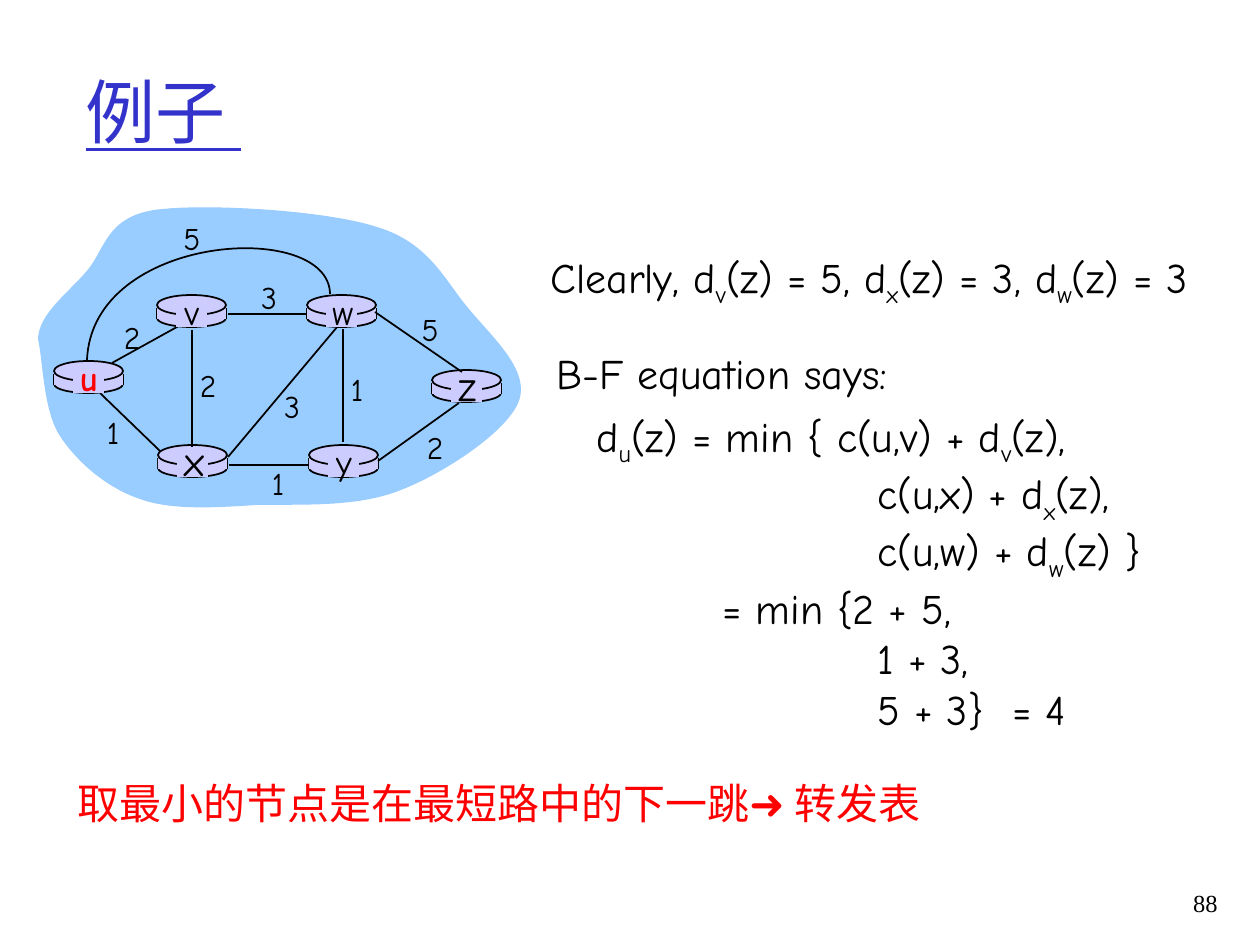
from lxml import etree
from pptx import Presentation
from pptx.dml.color import RGBColor
from pptx.enum.shapes import MSO_CONNECTOR, MSO_SHAPE
from pptx.enum.text import MSO_ANCHOR, PP_ALIGN
from pptx.oxml.ns import qn
from pptx.util import Emu, Pt

OVAL, RECT = MSO_SHAPE.OVAL, MSO_SHAPE.RECTANGLE
LINE = MSO_CONNECTOR.STRAIGHT
LEFT, MID, RIGHT = PP_ALIGN.LEFT, PP_ALIGN.CENTER, PP_ALIGN.RIGHT
CENTRE = MSO_ANCHOR.MIDDLE
COMIC, TIMES, CJK = "Comic Neue", "Times New Roman", "Noto Sans CJK JP"
BLACK, RED, BLUE, SKY, LILAC = "000000", "FF0000", "3333CC", "99CCFF", "CCCCFF"

NODES = [
    ("u", 54, 361, 20), ("x", 158, 445, 24), ("v", 157, 295, 20),
    ("w", 307, 295, 20), ("y", 309, 445, 20), ("z", 432, 370, 24),
]
LINKS = [
    (343, 329, 343, 442), (192, 330, 192, 447), (228, 457, 338, 326),
    (378, 461, 459, 403), (309, 465, 229, 465), (160, 451, 100, 393),
    (307, 314, 228, 314), (462, 372, 375, 312),
]
COSTS = [
    ("2", 132, 312), ("2", 208, 360), ("1", 113, 407), ("3", 292, 381),
    ("1", 278, 458), ("1", 357, 364), ("2", 435, 422), ("5", 430, 304),
    ("3", 269, 272), ("5", 192, 213),
]
CLOUD = [
    (38, 339),
    (39, 314), (67, 294), (86, 272), (105, 251), (105, 218), (154, 210),
    (203, 203), (325, 210), (377, 227), (430, 243), (445, 281), (469, 309),
    (493, 338), (530, 370), (519, 401), (508, 431), (445, 473), (401, 490),
    (357, 508), (299, 504), (256, 505), (212, 508), (170, 510), (140, 499),
    (107, 488), (77, 462), (60, 436), (43, 410), (43, 359), (38, 339),
]
ARC = [(330, 294), (329, 219), (92, 233), (87, 360)]
STOPS = (126, 281, 416)
STEPS = [
    "d_u(z) = min { c(u,v) + d_v(z),",
    "\t\tc(u,x) + d_x(z),",
    "\t\tc(u,w) + d_w(z) }",
    "\t= min {2 + 5,",
    "\t\t1 + 3,",
    "\t\t5 + 3}\t= 4",
]


def px(num):
    return Emu(round(num * 914400 / 126))


def tint(code):
    return RGBColor.from_string(code)


def style(run, size, hue=BLACK, face=COMIC):
    run.font.size = Pt(size)
    run.font.name = face
    run.font.color.rgb = tint(hue)
    far = etree.SubElement(run._r.get_or_add_rPr(), qn("a:ea"))
    far.set("typeface", CJK)


def paint(shape, fill=None, line=None):
    shape.shadow.inherit = False
    if fill:
        shape.fill.solid()
        shape.fill.fore_color.rgb = tint(fill)
    else:
        shape.fill.background()
    if line:
        shape.line.color.rgb = tint(line)
        shape.line.width = Pt(1)
    else:
        shape.line.fill.background()


def block(slide, kind, x, y, w, h, line=None):
    paint(slide.shapes.add_shape(kind, px(x), px(y), px(w), px(h)), LILAC, line)


def link(slide, *ends):
    wire = slide.shapes.add_connector(LINE, *map(px, ends))
    wire.line.color.rgb = tint(BLACK)
    wire.line.width = Pt(1)
    etree.SubElement(wire._element.spPr, qn("a:effectLst"))


def curve(slide, spots, fill=None, line=None):
    first, *rest = [(px(x), px(y)) for x, y in spots]
    pen = slide.shapes.build_freeform(*first)
    pen.add_line_segments(rest, close=bool(fill))
    shape = pen.convert_to_shape()
    legs = list(shape._element.iter(qn("a:lnTo")))
    for i in range(0, len(legs), 3):
        bend = etree.Element(qn("a:cubicBezTo"))
        legs[i].addprevious(bend)
        for leg in legs[i:i + 3]:
            bend.append(leg[0])
            leg.getparent().remove(leg)
    paint(shape, fill, line)


def text(slide, words, x, y, w, h, size, hue=BLACK, face=COMIC, align=LEFT, wrap=True):
    frame = slide.shapes.add_textbox(px(x), px(y), px(w), px(h)).text_frame
    frame.word_wrap = wrap
    para = frame.paragraphs[0]
    para.text = words
    para.alignment = align
    for run in para.runs:
        style(run, size, hue, face)
    return frame


def maths(para, words):
    head, *rest = words.split("_")
    bits = [(head, False)]
    for part in rest:
        bits += [(part[0], True), (part[1:], False)]
    for word, low in bits:
        run = para.add_run()
        run.text = word
        style(run, 24)
        if low:
            run._r.get_or_add_rPr().set("baseline", "-25000")


def sums(slide, rows, x, y, w, h):
    frame = text(slide, "", x, y, w, h, 24)
    for i, words in enumerate(rows):
        para = frame.add_paragraph() if i else frame.paragraphs[0]
        if "\t" in words:
            tabs = etree.SubElement(para._p.get_or_add_pPr(), qn("a:tabLst"))
            for stop in STOPS:
                etree.SubElement(tabs, qn("a:tab"), pos=str(px(stop)), algn="l")
        maths(para, words)


def router(slide, x, y):
    block(slide, OVAL, x, y + 14, 69, 18, BLACK)
    for side in (x, x + 69):
        link(slide, side, y + 13, side, y + 24)
    block(slide, RECT, x, y + 13, 69, 11)
    block(slide, OVAL, x, y, 69, 20, BLACK)


def label(slide, name, x, y, size):
    block(slide, RECT, x + 19, y + 3, 31, 29)
    left, rise = (13, 11) if size == 20 else (14, 17)
    first = name == "u"
    frame = text(slide, name, x + left, y - rise, 44, 56, size,
                 RED if first else BLACK, align=MID, wrap=False)
    frame.paragraphs[0].runs[0].font.bold = first


def graph(slide):
    curve(slide, CLOUD, fill=SKY)
    link(slide, 112, 363, 186, 322)
    for _, x, y, _ in NODES:
        router(slide, x, y)
    for ends in LINKS:
        link(slide, *ends)
    curve(slide, ARC, line=BLACK)
    for node in NODES:
        label(slide, *node)
    for cost, x, y in COSTS:
        text(slide, cost, x - 21, y, 42, 50, 18, align=MID, wrap=False)


def title(slide, words):
    shape = slide.shapes.title
    shape.left, shape.top, shape.width, shape.height = map(px, (73, 32, 1071, 158))
    frame = shape.text_frame
    frame.text = words
    frame.vertical_anchor = CENTRE
    para = frame.paragraphs[0]
    para.alignment = LEFT
    style(para.runs[0], 40, BLUE, TIMES)
    para.runs[0].font.underline = True


def main():
    deck = Presentation()
    deck.slide_width, deck.slide_height = px(1260), px(945)
    slide = deck.slides.add_slide(deck.slide_layouts[5])
    title(slide, "例子 ")
    graph(slide)
    sums(slide, ["Clearly, d_v(z) = 5, d_x(z) = 3, d_w(z) = 3"], 538, 245, 666, 70)
    sums(slide, STEPS, 584, 404, 570, 336)
    note = text(slide, "取最小的节点是在最短路中的下一跳", 65, 771, 870, 63, 24, RED)
    for word, face in (("➜ ", CJK), ("转发表", COMIC)):
        run = note.paragraphs[0].add_run()
        run.text = word
        style(run, 24, RED, face)
    text(slide, "B-F equation says:", 544, 341, 359, 63, 24)
    text(slide, "88", 1144, 882, 86, 63, 14, face=TIMES, align=RIGHT)
    deck.save("out.pptx")


if __name__ == "__main__":
    main()
